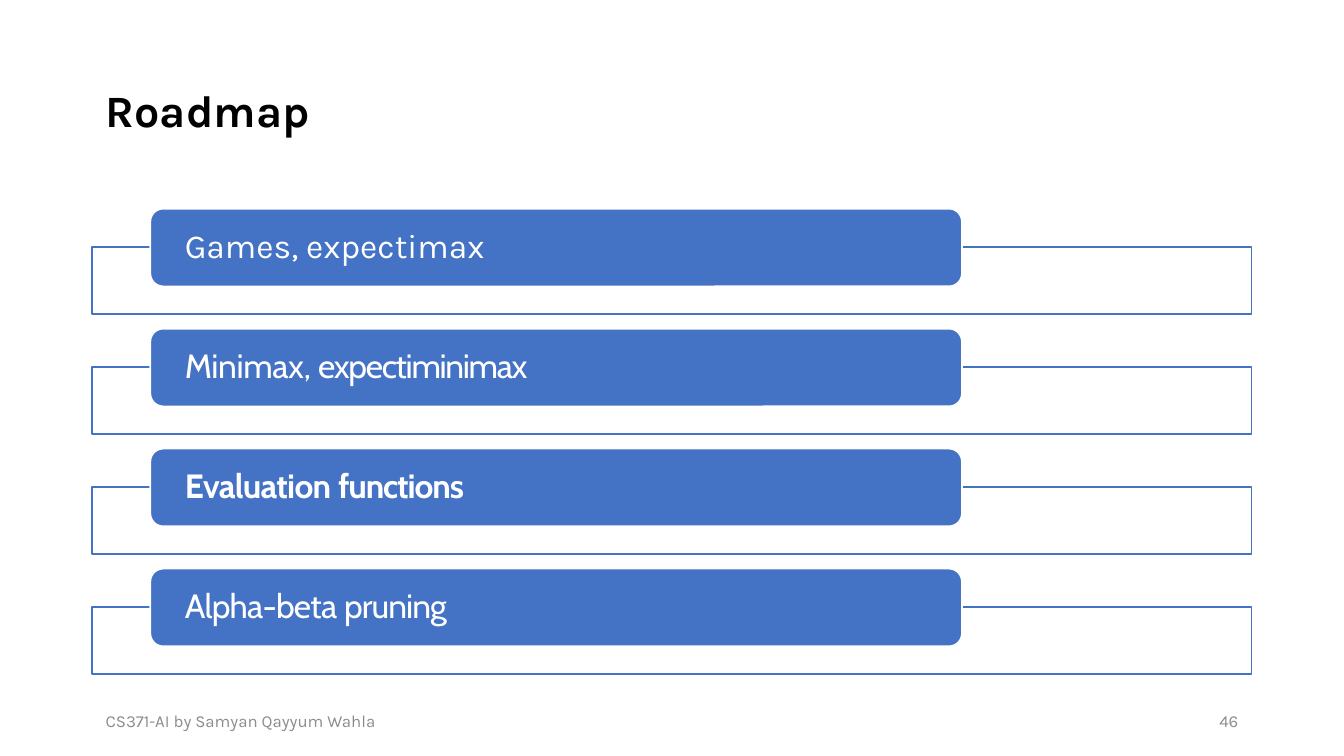
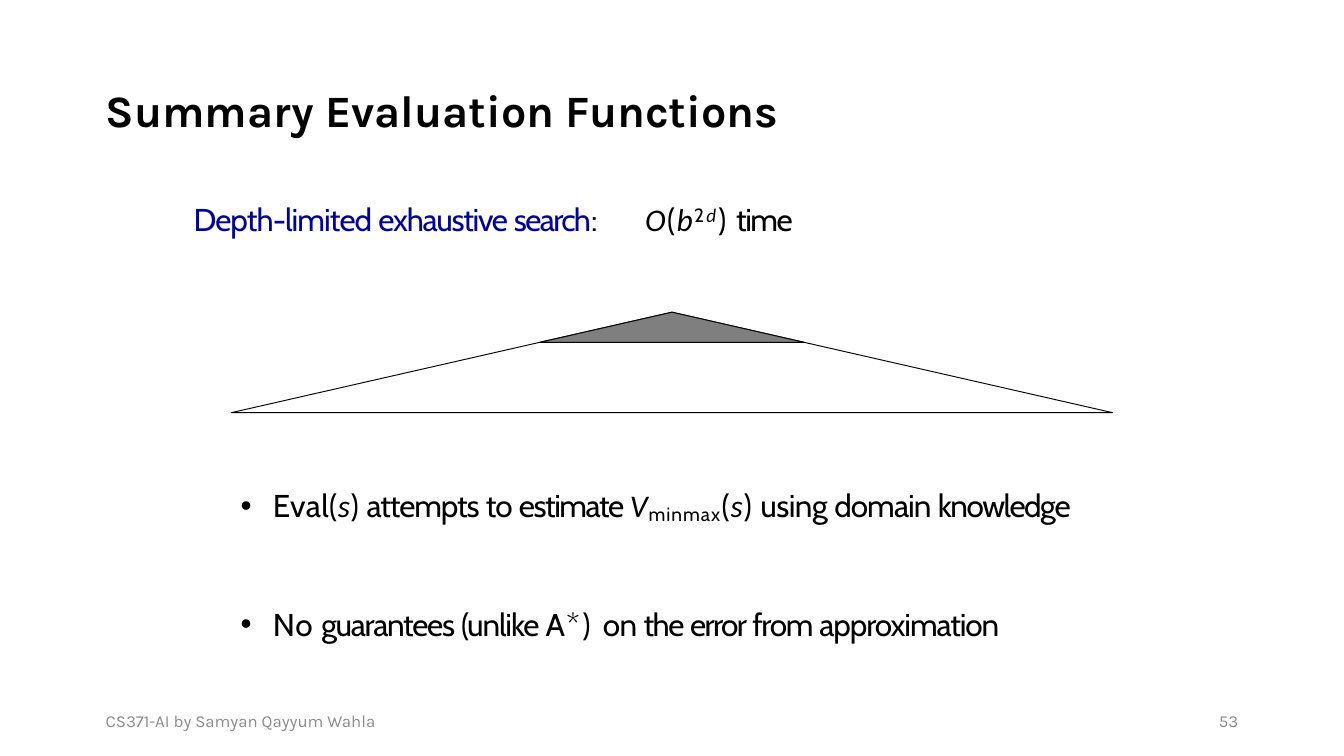
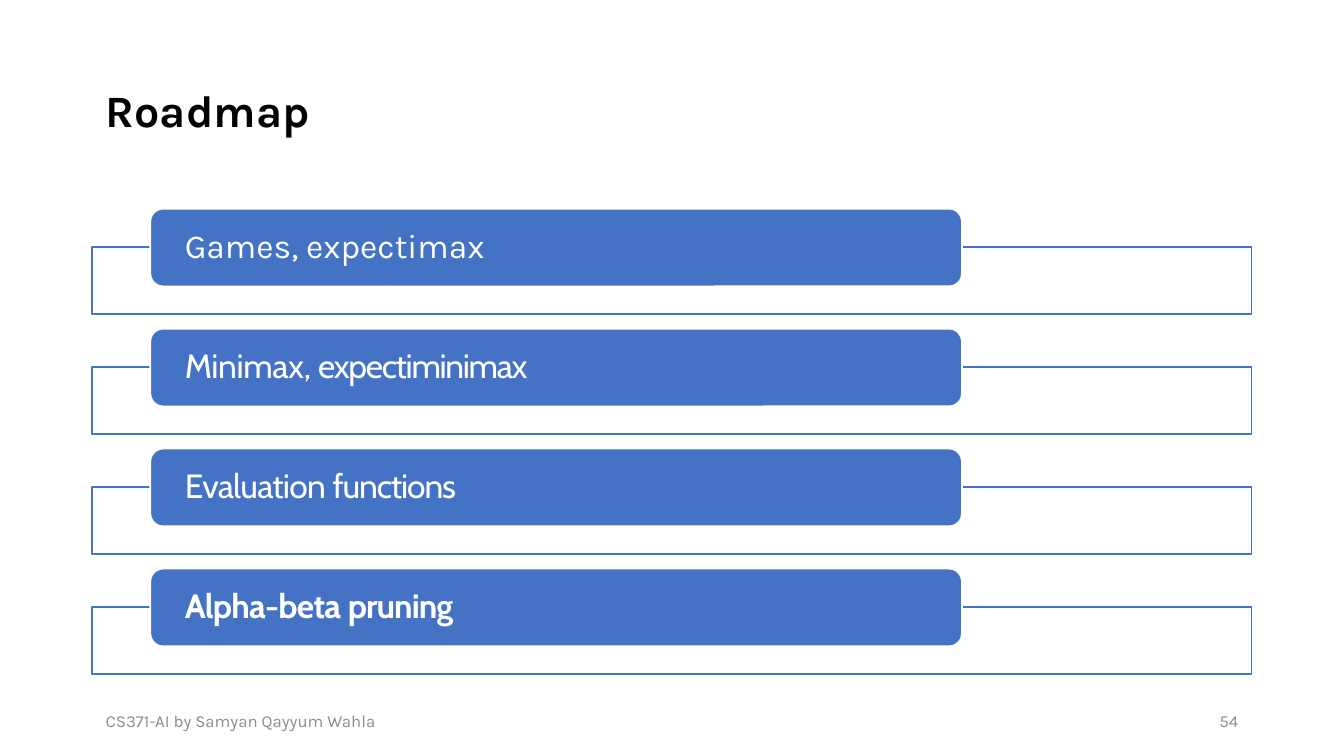
from dataclasses import dataclass

from lxml.etree import SubElement
from pptx import Presentation
from pptx.dml.color import RGBColor as Color
from pptx.enum.shapes import MSO_SHAPE as Preset
from pptx.enum.text import MSO_ANCHOR as Anchor, MSO_AUTO_SIZE as AutoSize, PP_ALIGN as Align
from pptx.oxml.ns import qn
from pptx.util import Emu, Inches, Pt


@dataclass(frozen=True)
class Theme:
    black: str = "000000"
    white: str = "FFFFFF"
    accent: str = "4472C4"
    navy: str = "0000A0"
    gray: str = "7F7F7F"
    muted: str = "8C8C8C"
    heading: str = "Karla"
    body: str = "Cabin"
    math: str = "Calibri"
    title_size: float = 24
    topic_size: float = 18
    text_size: float = 16.9
    script_size: float = 17.7
    footer_size: float = 9


theme = Theme()
presentation = Presentation()
presentation.slide_width = Inches(10)
presentation.slide_height = Inches(10) * 9 // 16

RUN_STYLES = {
    "plain": {},
    "heading": {"font": theme.heading},
    "navy": {"color": theme.navy},
    "math": {"font": theme.math, "italic": True},
    "super": {"size": theme.script_size, "baseline": 29000},
    "super math": {"size": theme.script_size, "baseline": 29000, "font": theme.math, "italic": True},
    "sub": {"size": theme.script_size, "baseline": -13000},
}


def area(left, top, width, height):
    across = presentation.slide_width / 100
    down = presentation.slide_height / 100
    return [Emu(round(length)) for length in (left * across, top * down, width * across, height * down)]


def write_text(shape, paragraphs, size, font=theme.body, color=theme.black, bold=False,
               align=Align.LEFT, anchor=Anchor.MIDDLE, insets=(0.1, 0.05, 0.1, 0.05),
               line_spacing=1.0, gap=0, indent=0, hanging=0, tab=None, bullet=None):
    frame = shape.text_frame
    frame.word_wrap = True
    frame.auto_size = AutoSize.NONE
    frame.vertical_anchor = anchor
    frame.margin_left, frame.margin_top, frame.margin_right, frame.margin_bottom = map(Inches, insets)
    for index, runs in enumerate(paragraphs):
        paragraph = frame.add_paragraph() if index else frame.paragraphs[0]
        properties = paragraph._p.get_or_add_pPr()
        if indent:
            properties.set("marL", str(Inches(indent)))
        if hanging:
            properties.set("indent", str(Inches(hanging)))
        if bullet:
            SubElement(properties, qn("a:buChar"), char=bullet)
        if tab:
            tabs = SubElement(properties, qn("a:tabLst"))
            SubElement(tabs, qn("a:tab"), pos=str(Inches(tab)), algn="l")
        paragraph.alignment = align
        paragraph.line_spacing = line_spacing
        paragraph.space_before = Pt(gap if index else 0)
        for text, spacing, style in runs:
            look = {"size": size, "font": font, "color": color, "italic": False, **RUN_STYLES[style]}
            run = paragraph.add_run()
            run.text = text
            run.font.size = Pt(look["size"])
            run.font.name = look["font"]
            run.font.bold = bold
            run.font.italic = look["italic"]
            run.font.color.rgb = Color.from_string(look["color"])
            run_properties = run._r.get_or_add_rPr()
            if spacing:
                run_properties.set("spc", str(round(spacing * 100)))
            if "baseline" in look:
                run_properties.set("baseline", str(look["baseline"]))


MARGIN, CONTENT = 6.87, 86.25
FOOTER_WIDTH = 22.5
FOOTER_TOP, FOOTER_HEIGHT = 92.7, 5.32
TOPIC_PITCH = 15.87
BAR_TOP, FRAME_TOP = 27.6, 32.65

TOPICS = [
    [("Games, expectimax", 0, "heading")],
    [("Minimax, ", -0.2, "plain"), ("expectiminimax", -0.7, "plain")],
    [("Evaluation ", -0.4, "plain"), ("functions", -0.6, "plain")],
    [("Alpha-beta ", -0.4, "plain"), ("pruning", -0.5, "plain")],
]

SEARCH_COST = [
    ("Depth-limited ", -0.5, "navy"), ("exhaustive ", -0.7, "navy"), ("search", -0.9, "navy"),
    (":\t", -0.9, "plain"), ("O", 0.7, "math"), ("(", 0.7, "plain"), ("b", 0.7, "math"),
    ("2", 1.1, "super"), ("d", 1.1, "super math"), (") ", 0.7, "plain"), ("time", -0.8, "plain"),
]

EVALUATION_POINTS = [
    [("Eval(", 0.2, "plain"), ("s", 0.2, "math"), (") ", 0.2, "plain"), ("attempts ", -0.6, "plain"),
     ("to ", -0.5, "plain"), ("estimate ", -0.8, "plain"), ("V", 0.4, "math"), ("minmax", 0.6, "sub"),
     ("(", 0.4, "plain"), ("s", 0.4, "math"), (") ", 0.4, "plain"), ("using ", -0.3, "plain"),
     ("domain ", -0.5, "plain"), ("knowledge", -0.8, "plain")],
    [("No ", 0.4, "plain"), ("guarantees ", -0.7, "plain"), ("(unlike ", -0.6, "plain"),
     ("A*) ", 1.4, "plain"), ("on ", -0.4, "plain"), ("the ", -0.8, "plain"), ("error ", -0.9, "plain"),
     ("from ", -0.7, "plain"), ("approximation", -0.6, "plain")],
]

TITLE_AND_LIST, TITLE_ONLY = 1, 5
slides = {}
for number, title, layout in [
    (46, "Roadmap", TITLE_ONLY),
    (53, "Summary Evaluation Functions", TITLE_AND_LIST),
    (54, "Roadmap", TITLE_ONLY),
]:
    slide = presentation.slides.add_slide(presentation.slide_layouts[layout])
    slides[number] = slide
    heading = slide.shapes.title
    heading.left, heading.top, heading.width, heading.height = area(MARGIN, 5.25, CONTENT, 19.33)
    write_text(heading, [[(title, 0, "plain")]], theme.title_size, font=theme.heading,
               bold=True, line_spacing=0.9)
    for left, text, align in [
        (MARGIN, "CS371-AI by Samyan Qayyum Wahla", Align.LEFT),
        (MARGIN + CONTENT - FOOTER_WIDTH, str(number), Align.RIGHT),
    ]:
        footer = slide.shapes.add_textbox(*area(left, FOOTER_TOP, FOOTER_WIDTH, FOOTER_HEIGHT))
        write_text(footer, [[(text, 0, "plain")]], theme.footer_size, font=theme.heading,
                   color=theme.muted, align=align)

for number, current_topic in [(46, 2), (54, 3)]:
    shapes = slides[number].shapes
    for row, topic in enumerate(TOPICS):
        offset = row * TOPIC_PITCH
        frame = shapes.add_shape(Preset.RECTANGLE, *area(MARGIN, FRAME_TOP + offset, CONTENT, 8.9))
        bar = shapes.add_shape(Preset.ROUNDED_RECTANGLE, *area(11.18, BAR_TOP + offset, 60.4, 10.3))
        for shape, fill, line in [(frame, theme.white, theme.accent), (bar, theme.accent, theme.white)]:
            shape.shadow.inherit = False
            shape.fill.solid()
            shape.fill.fore_color.rgb = Color.from_string(fill)
            shape.line.color.rgb = Color.from_string(line)
            shape.line.width = Pt(1)
        write_text(bar, [topic], theme.topic_size, color=theme.white, bold=row == current_topic,
                   insets=(0.23, 0, 0.23, 0), line_spacing=0.9)

summary = slides[53]
cost = summary.shapes.add_textbox(*area(14.1, 25.96, 45.9, 5.34))
write_text(cost, [SEARCH_COST], theme.text_size, anchor=Anchor.TOP, insets=(0, 0.02, 0, 0),
           indent=0.03, tab=3.36)

for depth, fill in [(1, None), (0.3, theme.gray)]:
    apex_x, apex_y, half_base, height = area(50, 41.3, 32.8 * depth, 13.3 * depth)
    builder = summary.shapes.build_freeform(apex_x, apex_y)
    builder.add_line_segments([(apex_x - half_base, apex_y + height), (apex_x + half_base, apex_y + height)])
    tree = builder.convert_to_shape()
    tree.shadow.inherit = False
    tree.line.color.rgb = Color.from_string(theme.black)
    tree.line.width = Pt(0.5)
    if fill:
        tree.fill.solid()
        tree.fill.fore_color.rgb = Color.from_string(fill)
    else:
        tree.fill.background()

points = summary.placeholders[1]
points.left, points.top, points.width, points.height = area(17.6, 63.75, 68, 21)
write_text(points, EVALUATION_POINTS, theme.text_size, anchor=Anchor.TOP, insets=(0, 0.02, 0, 0),
           gap=42.5, indent=0.27, hanging=-0.24, tab=0.28, bullet="•")

presentation.save("out.pptx")
